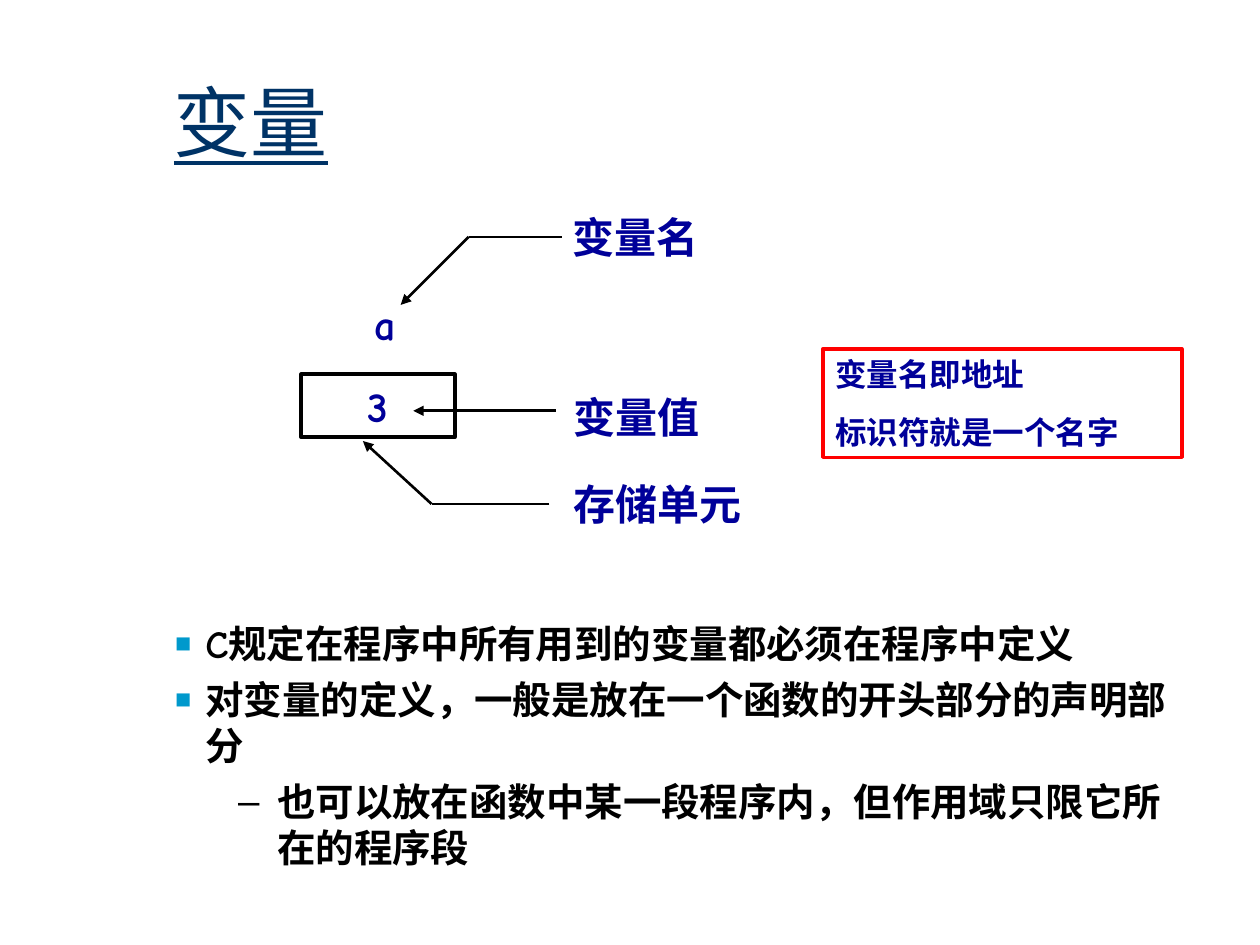
from itertools import pairwise
from lxml.etree import SubElement
from pptx import Presentation
from pptx.dml.color import RGBColor
from pptx.enum.shapes import MSO_CONNECTOR, MSO_SHAPE
from pptx.enum.text import MSO_ANCHOR as Anchor, MSO_AUTO_SIZE as Fit, PP_ALIGN as Align
from pptx.oxml.ns import qn
from pptx.util import Inches, Pt

FONT = "Comic Neue"
BLACK, NAVY, BLUE, RED, CYAN = "000000", "003366", "000099", "FF0000", "0099CC"

# Places are percent of the slide: left, top, width, height
TITLE = "变量", (12.8, 4.4, 85, 16.67)
CELL = "3", (23.9, 39.6, 12.2, 6.67)
LABELS = [
    ("a", (24.9, 30.93, 11.3, 6.67)),
    ("变量名", (42.6, 21.73, 15.7, 6.67)),
    ("变量值", (44.1, 40.8, 12.8, 6.67)),
    ("存储单元", (43.1, 50, 18.2, 6.67)),
]
NOTE = ["变量名即地址", "标识符就是一个名字"], (65.3, 36.93, 28.5, 11.47)
# Each leader runs from its label to the arrowhead
LEADERS = [
    [(44.6, 25.07), (37.2, 25.07), (31.8, 32.27)],
    [(44.1, 43.47), (32.8, 43.47)],
    [(43.6, 53.33), (34.25, 53.33), (28.8, 46.67)],
]
BODY = (12.9, 64.93, 80.9, 27.87)
POINTS = [
    (0, "C规定在程序中所有用到的变量都必须在程序中定义"),
    (0, "对变量的定义，一般是放在一个函数的开头部分的声明部分"),
    (1, "也可以放在函数中某一段程序内，但作用域只限它所在的程序段"),
]
# Level: indent, hanging, sign, colour, size in percent
BULLETS = {0: (0.24, 0.24, "■", CYAN, 70), 1: (0.81, 0.31, "–", BLACK, 100)}

deck = Presentation()
deck.slide_width, deck.slide_height = Inches(10), Inches(7.5)
slide = deck.slides.add_slide(deck.slide_layouts[1])
shapes = slide.shapes


def color(code):
    return RGBColor.from_string(code)


def spot(x, y):
    return int(deck.slide_width * x / 100), int(deck.slide_height * y / 100)


def area(box):
    return *spot(*box[:2]), *spot(*box[2:])


def move(shape, box):
    shape.left, shape.top, shape.width, shape.height = area(box)


def write(shape, lines, size=24, ink=BLUE, bold=True, under=None,
          align=Align.CENTER, anchor=Anchor.TOP, gap=0):
    frame = shape.text_frame
    frame.word_wrap, frame.auto_size = True, Fit.NONE
    frame.vertical_anchor = anchor
    frame.text = "\n".join(lines)
    for n, para in enumerate(frame.paragraphs):
        para.alignment = align
        para.space_before = Pt(gap if n else 0)
        font = para.runs[0].font
        font.name, font.size, font.bold = FONT, Pt(size), bold
        font.underline = under
        font.color.rgb = color(ink)
    return frame.paragraphs


def frame_box(box, ink):
    shape = shapes.add_shape(MSO_SHAPE.RECTANGLE, *area(box))
    shape.shadow.inherit = False
    shape.fill.background()
    shape.line.color.rgb = color(ink)
    shape.line.width = Pt(2)
    return shape


def leader(spots):
    """Draw a bent line with an arrowhead at its last point."""
    for start, end in pairwise(spots):
        line = shapes.add_connector(MSO_CONNECTOR.STRAIGHT, *spot(*start), *spot(*end))
        line.line.color.rgb = color(BLACK)
        line.line.width = Pt(1.5)
        props = line.element.spPr
        if end == spots[-1]:
            SubElement(props.find(qn("a:ln")), qn("a:tailEnd"), type="triangle")
        SubElement(props, qn("a:effectLst"))


def bullet(para, level):
    indent, hang, sign, ink, size = BULLETS[level]
    para.level = level
    props = para._p.get_or_add_pPr()
    props.set("marL", str(Inches(indent)))
    props.set("indent", str(-Inches(hang)))
    SubElement(SubElement(props, qn("a:buClr")), qn("a:srgbClr"), val=ink)
    SubElement(props, qn("a:buSzPct"), val=str(size * 1000))
    SubElement(props, qn("a:buChar"), char=sign)


text, box = TITLE
move(shapes.title, box)
write(shapes.title, [text], size=44, ink=NAVY, bold=False, under=True,
      align=Align.LEFT, anchor=Anchor.MIDDLE)

text, box = CELL
write(frame_box(box, BLACK), [text], anchor=Anchor.MIDDLE)
for text, box in LABELS:
    write(shapes.add_textbox(*area(box)), [text])
for spots in LEADERS:
    leader(spots)
lines, box = NOTE
write(frame_box(box, RED), lines, size=18, align=Align.LEFT, gap=11.2)

body = slide.placeholders[1]
move(body, BODY)
paras = write(body, [text for _, text in POINTS], size=22, ink=BLACK,
              align=Align.LEFT, gap=5.5)
for para, (level, _) in zip(paras, POINTS):
    bullet(para, level)

deck.save("out.pptx")
